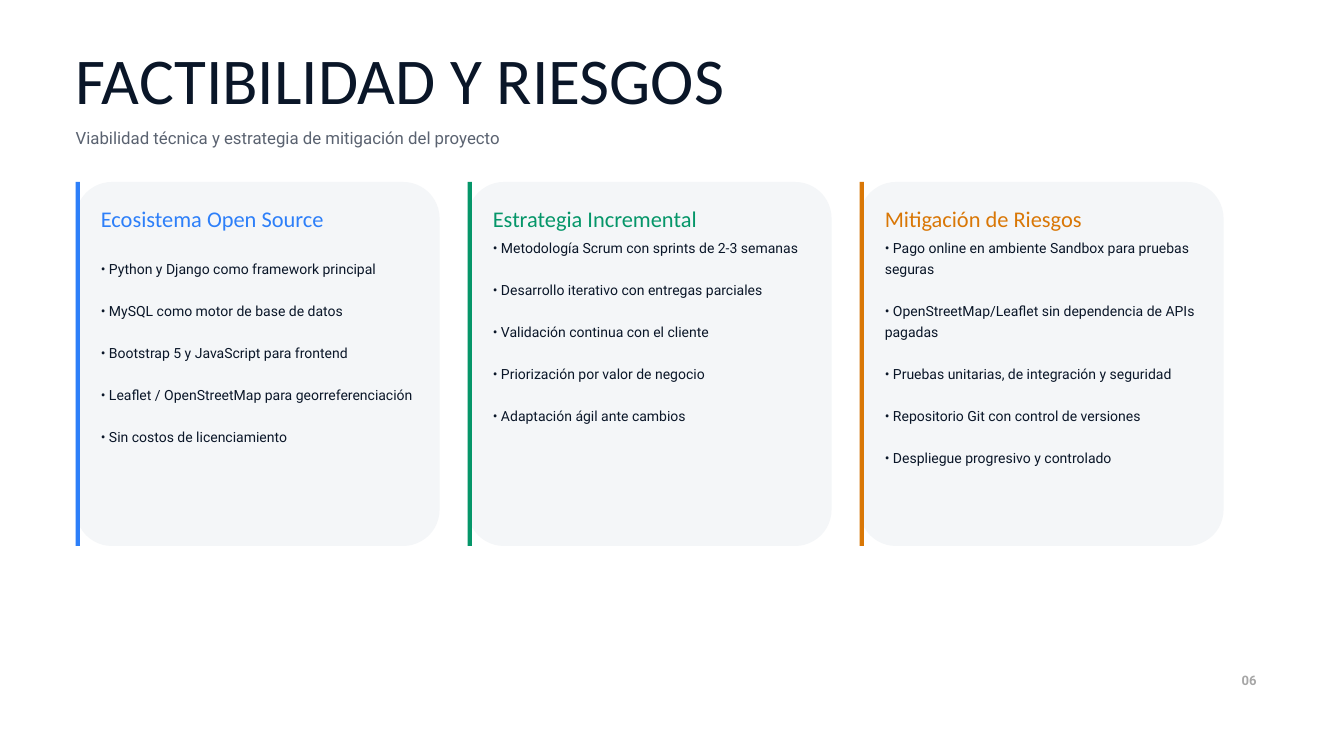
from pptx import Presentation
from pptx.dml.color import RGBColor
from pptx.enum.shapes import MSO_SHAPE
from pptx.enum.text import PP_ALIGN
from pptx.util import Pt

COLORS = {
    "navy": "0A1628", "slate": "5A6270", "gray": "A6A6A6", "card": "F4F6F8",
    "blue": "2D7FF9", "green": "059669", "orange": "D97706",
}
LEFT, CARD_TOP, CARD_SIZE, CARD_PITCH = 81, 195, 390, 420
BAR_WIDTH, PADDING, TEXT_WIDTH = 4.5, 27, 345

# Heading, accent colour, top of the list, list items
CARDS = [
    ("Ecosistema Open Source", "blue", 274.5, [
        "Python y Django como framework principal",
        "MySQL como motor de base de datos",
        "Bootstrap 5 y JavaScript para frontend",
        "Leaflet / OpenStreetMap para georreferenciación",
        "Sin costos de licenciamiento",
    ]),
    ("Estrategia Incremental", "green", 252, [
        "Metodología Scrum con sprints de 2-3 semanas",
        "Desarrollo iterativo con entregas parciales",
        "Validación continua con el cliente",
        "Priorización por valor de negocio",
        "Adaptación ágil ante cambios",
    ]),
    ("Mitigación de Riesgos", "orange", 252, [
        "Pago online en ambiente Sandbox para pruebas seguras",
        "OpenStreetMap/Leaflet sin dependencia de APIs pagadas",
        "Pruebas unitarias, de integración y seguridad",
        "Repositorio Git con control de versiones",
        "Despliegue progresivo y controlado",
    ]),
]

prs = Presentation()
prs.slide_width, prs.slide_height = Pt(1440), Pt(810)
s = prs.slides.add_slide(prs.slide_layouts[6])


def add_text(lines, x, y, w, h, size, leading, color, font="Roboto", gap=0):
    """Add a text box with one paragraph per line, gap points apart."""
    tf = s.shapes.add_textbox(Pt(x), Pt(y), Pt(w), Pt(h)).text_frame
    tf.margin_left = tf.margin_right = tf.margin_top = tf.margin_bottom = 0
    tf.word_wrap = True
    tf.text = "\n".join(lines)
    for i, p in enumerate(tf.paragraphs):
        p.line_spacing = Pt(leading)
        if i and gap:
            p.space_before = Pt(gap)
        for r in p.runs:
            r.font.name, r.font.size = font, Pt(size)
            r.font.color.rgb = RGBColor.from_string(COLORS[color])
    return tf


def add_block(kind, x, y, w, h, color):
    sp = s.shapes.add_shape(kind, Pt(x), Pt(y), Pt(w), Pt(h))
    sp.shadow.inherit = False
    sp.fill.solid()
    sp.fill.fore_color.rgb = RGBColor.from_string(COLORS[color])
    sp.line.fill.background()
    return sp


add_text(["FACTIBILIDAD Y RIESGOS"], LEFT, 56, 900, 73, 70, 70, "navy", "Calibri")
add_text(["Viabilidad técnica y estrategia de mitigación del proyecto"],
         LEFT, 133.5, 675, 24.5, 18, 25.2, "slate")

for i, (heading, accent, list_top, items) in enumerate(CARDS):
    x = LEFT + i * CARD_PITCH
    card = add_block(MSO_SHAPE.ROUNDED_RECTANGLE, x, CARD_TOP, CARD_SIZE, CARD_SIZE, "card")
    card.adjustments[0] = 0.1
    add_block(MSO_SHAPE.RECTANGLE, x, CARD_TOP, BAR_WIDTH, CARD_SIZE, accent)
    add_text([heading], x + PADDING, 214.5, TEXT_WIDTH, 31, 24, 33.6, accent, "Calibri")
    add_text([f"• {item}" for item in items],
             x + PADDING, list_top, TEXT_WIDTH, 223, 15, 22.5, "navy", gap=22.5)

page_number = add_text(["06"], 1309, 718, 37.5, 19, 14, 19.6, "gray")
page_number.paragraphs[0].alignment = PP_ALIGN.RIGHT
page_number.paragraphs[0].runs[0].font.bold = True

prs.save("out.pptx")
